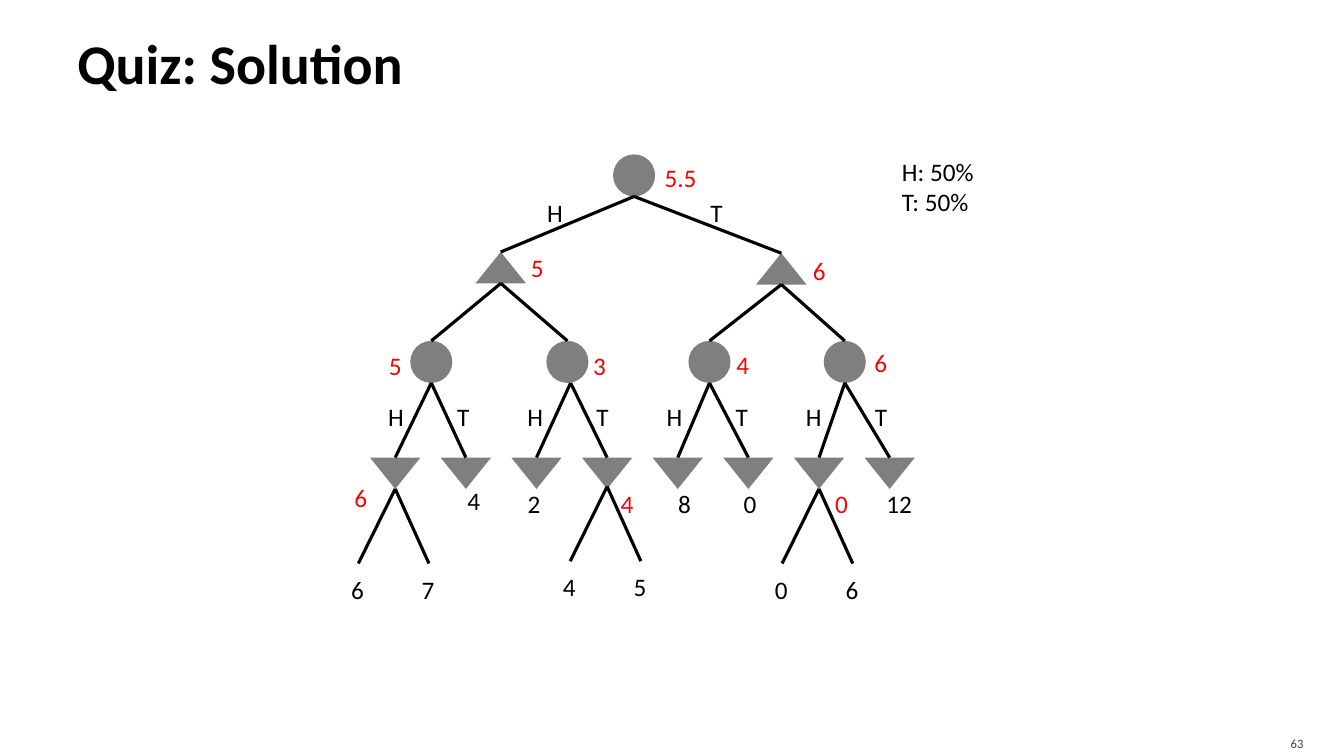
import pptx
import pptx.dml.color
import pptx.enum.shapes
import pptx.enum.text
import pptx.oxml
import pptx.util

Cm = pptx.util.Cm
Pt = pptx.util.Pt
Color = pptx.dml.color.RGBColor
Align = pptx.enum.text.PP_ALIGN
Anchor = pptx.enum.text.MSO_ANCHOR
Shape = pptx.enum.shapes.MSO_SHAPE

TITLE = "Quiz: Solution"
PAGE_NUMBER = "63"
ODDS = ["H: 50%", "T: 50%"]

# Each node: centre, top, value, value centre
ROOT = [(15.98, 3.89, "5.5", 17.15, 4.46)]
MAX_NODES = [(12.62, 6.35, "5", 13.54, 6.74), (19.69, 6.38, "6", 20.65, 6.82)]
CHANCE_NODES = [
    (10.87, 8.59, "5", 9.96, 9.21),
    (14.3, 8.59, "3", 15.11, 9.21),
    (17.88, 8.59, "4", 18.72, 9.18),
    (21.29, 8.59, "6", 22.2, 9.13),
]
MIN_VALUES = [
    ("6", 9.09, 12.53), ("4", 11.94, 12.61), ("2", 13.46, 12.69), ("4", 15.8, 12.69),
    ("8", 17.25, 12.69), ("0", 18.9, 12.69), ("0", 21.21, 12.69), ("12", 22.66, 12.69),
]
MIN_LEFT, MIN_STEP, MIN_TOP = 9.96, 1.78, 11.53
MIN_NODES = [
    (MIN_LEFT + MIN_STEP * i, MIN_TOP, *value) for i, value in enumerate(MIN_VALUES)
]
LEAVES = {0: ("6", "7"), 3: ("4", "5"), 6: ("0", "6")}
LEAF_RISE = {3: 0.06}
FORK_SHIFT = {1: 0.08}

THEME = {
    "font": "Calibri",
    "ink": Color(0, 0, 0),
    "solved": Color(0xFF, 0, 0),
    "node": Color(0x7F, 0x7F, 0x7F),
    "footer": Color(0x41, 0x41, 0x41),
    "title_size": Pt(40),
    "label_size": Pt(18),
    "footer_size": Pt(9),
    "line": Pt(2.25),
}
CIRCLE = (Shape.OVAL, 1.06, 1.06, 0)
TRIANGLE = (Shape.ISOSCELES_TRIANGLE, 1.27, 0.79, 0)
INVERTED = (Shape.ISOSCELES_TRIANGLE, 1.27, 0.79, 180)
VALUE_BOX = (1.27, 1.3)
BRANCH_SIZES = {"H": (0.94, 1.02), "T": (0.84, 1.02)}


def apply(target, values):
    for name, value in values.items():
        setattr(target, name, value)


def write(box, lines, insets, anchor=Anchor.TOP, align=Align.LEFT,
          size=THEME["label_size"], color=THEME["ink"], bold=False, wrap=True):
    frame = box.text_frame
    sides = ("margin_left", "margin_top", "margin_right", "margin_bottom")
    apply(frame, dict(zip(sides, map(Cm, insets))))
    apply(frame, {"word_wrap": wrap, "vertical_anchor": anchor,
                  "auto_size": pptx.enum.text.MSO_AUTO_SIZE.NONE})
    for i, line in enumerate(lines):
        para = frame.add_paragraph() if i else frame.paragraphs[0]
        para.alignment = align
        span = para.add_run()
        span.text = line
        apply(span.font, {"name": THEME["font"], "size": size, "bold": bold})
        span.font.color.rgb = color


def add_text(page, left, top, width, height, lines, **style):
    box = page.shapes.add_textbox(Cm(left), Cm(top), Cm(width), Cm(height))
    style.setdefault("insets", (0.25, 0.13, 0.25, 0.13))
    write(box, lines, **style)


def add_value(page, center, middle, value, color):
    width, height = VALUE_BOX
    add_text(page, center - width / 2, middle - height / 2, width, height, [value],
             insets=(0, 0, 0, 0), anchor=Anchor.MIDDLE, align=Align.CENTER, color=color)


def add_node(page, center, top, look):
    preset, width, height, turn = look
    node = page.shapes.add_shape(
        preset, Cm(center - width / 2), Cm(top), Cm(width), Cm(height))
    node.rotation = turn
    node.shadow.inherit = False
    node.fill.solid()
    node.fill.fore_color.rgb = THEME["node"]
    node.line.fill.background()


def add_edge(page, start, end):
    edge = page.shapes.add_connector(
        pptx.enum.shapes.MSO_CONNECTOR.STRAIGHT, *map(Cm, start + end))
    edge.line.width = THEME["line"]
    edge.line.color.rgb = THEME["ink"]
    edge._element.spPr.append(pptx.oxml.parse_xml(
        '<a:effectLst xmlns:a="http://schemas.openxmlformats.org/drawingml/2006/main"/>'))


def add_branch(page, letter, left, top):
    add_text(page, left, top, *BRANCH_SIZES[letter], [letter], wrap=False)


def draw_tree(page):
    levels = [(ROOT, CIRCLE), (MAX_NODES, TRIANGLE), (CHANCE_NODES, CIRCLE),
              (MIN_NODES, INVERTED)]
    for depth, (nodes, look) in enumerate(levels):
        for i, (center, top, value, value_x, value_y) in enumerate(nodes):
            add_node(page, center, top, look)
            terminal = look is INVERTED and i not in LEAVES
            add_value(page, value_x, value_y, value,
                      THEME["ink" if terminal else "solved"])
            if depth:
                parents, parent_look = levels[depth - 1]
                start_x, start_top = parents[i // 2][:2]
                if look is INVERTED:
                    start_x += FORK_SHIFT.get(i // 2, 0)
                add_edge(page, (start_x, start_top + parent_look[2]), (center, top))

    for i, leaves in LEAVES.items():
        center = MIN_NODES[i][0]
        tip = MIN_TOP + INVERTED[2] - LEAF_RISE.get(i, 0)
        for leaf, reach in zip(leaves, (-0.93, 0.85)):
            add_edge(page, (center, tip), (center + reach, tip + 1.88))
            add_value(page, center + reach - 0.02, tip + 2.53, leaf, THEME["ink"])

    add_branch(page, "H", 13.54, 4.85)
    add_branch(page, "T", 17.65, 4.85)
    for i in range(len(CHANCE_NODES)):
        left = 9.53 + 3.51 * i
        add_branch(page, "H", left, 9.98)
        add_branch(page, "T", left + 1.74, 9.98)


def main():
    deck = pptx.Presentation()
    apply(deck, {"slide_width": Cm(33.87), "slide_height": Cm(19.05)})
    page = deck.slides.add_slide(deck.slide_layouts[5])
    title = page.shapes.title
    apply(title, {"left": Cm(1.7), "top": Cm(0.2), "width": Cm(30.48), "height": Cm(2.74)})
    write(title, [TITLE], insets=(0.25, 0.13, 0.13, 0.13), anchor=Anchor.MIDDLE,
          size=THEME["title_size"], bold=True)
    draw_tree(page)
    add_text(page, 22.48, 3.81, 2.49, 1.8, ODDS, wrap=False)
    add_text(page, 30.38, 18.29, 2.72, 0.76, [PAGE_NUMBER], insets=(0.25, 0.13, 0.25, 0),
             anchor=Anchor.MIDDLE, align=Align.RIGHT,
             size=THEME["footer_size"], color=THEME["footer"])
    deck.save("out.pptx")


if __name__ == "__main__":
    main()
